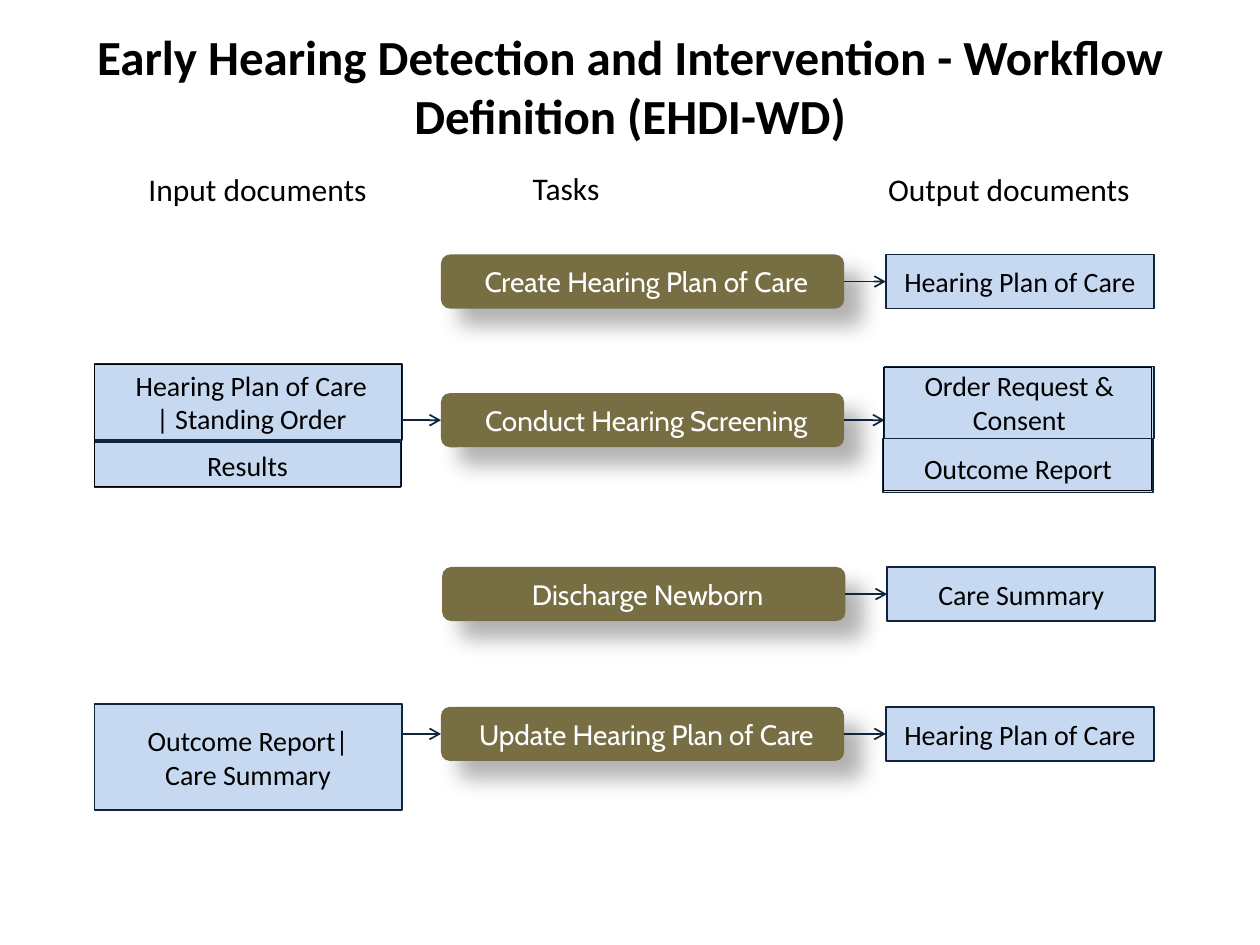
from lxml.etree import SubElement
from pptx import Presentation
from pptx.dml.color import RGBColor
from pptx.enum.shapes import MSO_CONNECTOR, MSO_SHAPE
from pptx.enum.text import MSO_ANCHOR, MSO_AUTO_SIZE, PP_ALIGN
from pptx.oxml.ns import qn
from pptx.util import Inches, Pt

BLACK = RGBColor(0x00, 0x00, 0x00)
WHITE = RGBColor(0xFF, 0xFF, 0xFF)
OLIVE = RGBColor(0x78, 0x6E, 0x44)
PALE_BLUE = RGBColor(0xC6, 0xD9, 0xF1)
NAVY = RGBColor(0x0F, 0x24, 0x3E)

TITLE = "Early Hearing Detection and Intervention - Workflow Definition (EHDI-WD)"
HEADINGS = [
    ("Input documents", 1.08, 1.3, 1.95),
    ("Output documents", 6.95, 1.3, 2.14),
    ("Tasks", 4.13, 1.29, 0.73),
]
ROW_H, TASK_W, OUTPUT_W = 0.43, 3.2, 2.13
TASKS = [
    ("Create Hearing Plan of Care", 3.5, 2.02, "Hearing Plan of Care"),
    ("Conduct Hearing Screening", 3.5, 3.12, None),
    ("Discharge Newborn", 3.51, 4.5, "Care Summary"),
    ("Update Hearing Plan of Care", 3.5, 5.61, "Hearing Plan of Care"),
]
OUTPUT_GAP = 3.53
SCREENING, UPDATE = 1, 3
INPUT_RIGHT, SCREENING_OUTPUT_LEFT = 3.19, 7.02
DEFAULT_INSETS = (0.1, 0.05, 0.1, 0.05)
TASK_INSETS = (0.16, 0.05, 0.1, 0.05)
TWO_LINE_INSETS = (0, 0.1, 0, 0.1)
DOCUMENTS = [
    ("Outcome Report|\nCare Summary", (0.75, 5.59, 2.44, 0.84), DEFAULT_INSETS),
    (" Hearing Plan of Care\n | Standing Order", (0.75, 2.89, 2.44, 0.6), TWO_LINE_INSETS),
    ("Results", (0.75, 3.51, 2.43, 0.36), DEFAULT_INSETS),
    ("Outcome Report", (7.01, 3.48, 2.14, 0.43), (0, 0.05, 0, 0)),
    ("Order Request &\nConsent", (7.02, 2.91, 2.14, 0.57), TWO_LINE_INSETS),
]
FRAMES = [(0.75, 2.89, 2.44, 0.97), (7.01, 2.92, 2.13, 0.97)]


def write(sp, text, font, size, color, align, insets=DEFAULT_INSETS, bold=False):
    tf = sp.text_frame
    tf.text = text
    tf.margin_left, tf.margin_top, tf.margin_right, tf.margin_bottom = map(Inches, insets)
    for p in tf.paragraphs:
        p.alignment = align
        p.font.name, p.font.size, p.font.bold = font, Pt(size), bold
        p.font.color.rgb = color
    return tf


def add_box(slide, kind, box, fill=None, line=None, width=1):
    sp = slide.shapes.add_shape(kind, *map(Inches, box))
    sp.shadow.inherit = False
    if fill is None:
        sp.fill.background()
    else:
        sp.fill.solid()
        sp.fill.fore_color.rgb = fill
    if line is None:
        sp.line.fill.background()
    else:
        sp.line.color.rgb = line
        sp.line.width = Pt(width)
    return sp


def add_document(slide, text, box, insets=DEFAULT_INSETS):
    sp = add_box(slide, MSO_SHAPE.RECTANGLE, box, PALE_BLUE, NAVY)
    tf = write(sp, text, "Calibri", 16, BLACK, PP_ALIGN.CENTER, insets)
    tf.vertical_anchor = MSO_ANCHOR.MIDDLE
    return sp


def add_task(slide, text, left, top):
    sp = add_box(slide, MSO_SHAPE.ROUNDED_RECTANGLE, (left, top, TASK_W, ROW_H), OLIVE)
    tf = write(sp, text, "Cabin", 16, WHITE, PP_ALIGN.CENTER, TASK_INSETS)
    tf.vertical_anchor = MSO_ANCHOR.MIDDLE
    effects = sp._element.spPr.find(qn("a:effectLst"))
    shadow = SubElement(effects, qn("a:outerShdw"), blurRad=str(Pt(12)), dist=str(Pt(14)),
                        dir=str(45 * 60000), algn="tl", rotWithShape="0")
    color = SubElement(shadow, qn("a:srgbClr"), val=str(BLACK))
    SubElement(color, qn("a:alpha"), val="30000")
    return sp


def add_arrow(slide, x1, x2, y, start=None, end=None):
    line = slide.shapes.add_connector(
        MSO_CONNECTOR.STRAIGHT, Inches(x1), Inches(y), Inches(x2), Inches(y))
    if start is not None:
        line.begin_connect(start, 3)
    if end is not None:
        line.end_connect(end, 1)
    line.line.color.rgb = NAVY
    line.line.width = Pt(1)
    SubElement(line.line._get_or_add_ln(), qn("a:tailEnd"), type="arrow")
    SubElement(line._element.spPr, qn("a:effectLst"))


def main():
    prs = Presentation()
    prs.slide_width, prs.slide_height = Inches(10), Inches(7.5)
    slide = prs.slides.add_slide(prs.slide_layouts[5])

    title = slide.shapes.title
    title.left, title.top, title.width, title.height = map(Inches, (0.5, 0.3, 9, 1.25))
    tf = write(title, TITLE, "Calibri", 28, BLACK, PP_ALIGN.CENTER,
               (0.1, 0.05, 0.1, 0.54), bold=True)
    tf.vertical_anchor = MSO_ANCHOR.MIDDLE
    tf.auto_size = MSO_AUTO_SIZE.NONE

    for text, left, top, width in HEADINGS:
        sp = slide.shapes.add_textbox(*map(Inches, (left, top, width, 0.4)))
        tf = write(sp, text, "Calibri", 18, BLACK, PP_ALIGN.LEFT)
        tf.word_wrap = False
        tf.auto_size = MSO_AUTO_SIZE.SHAPE_TO_FIT_TEXT

    for i, (text, left, top, output) in enumerate(TASKS):
        task = add_task(slide, text, left, top)
        middle = top + ROW_H / 2
        output_left, document = SCREENING_OUTPUT_LEFT, None
        if output:
            output_left = left + OUTPUT_GAP
            document = add_document(slide, output, (output_left, top, OUTPUT_W, ROW_H))
        add_arrow(slide, left + TASK_W, output_left, middle, task, document)
        if i in (SCREENING, UPDATE):
            add_arrow(slide, INPUT_RIGHT, left, middle, end=task)

    for text, box, insets in DOCUMENTS:
        add_document(slide, text, box, insets)
    for box in FRAMES:
        add_box(slide, MSO_SHAPE.RECTANGLE, box, line=BLACK, width=0.5)

    prs.save("out.pptx")


if __name__ == "__main__":
    main()
